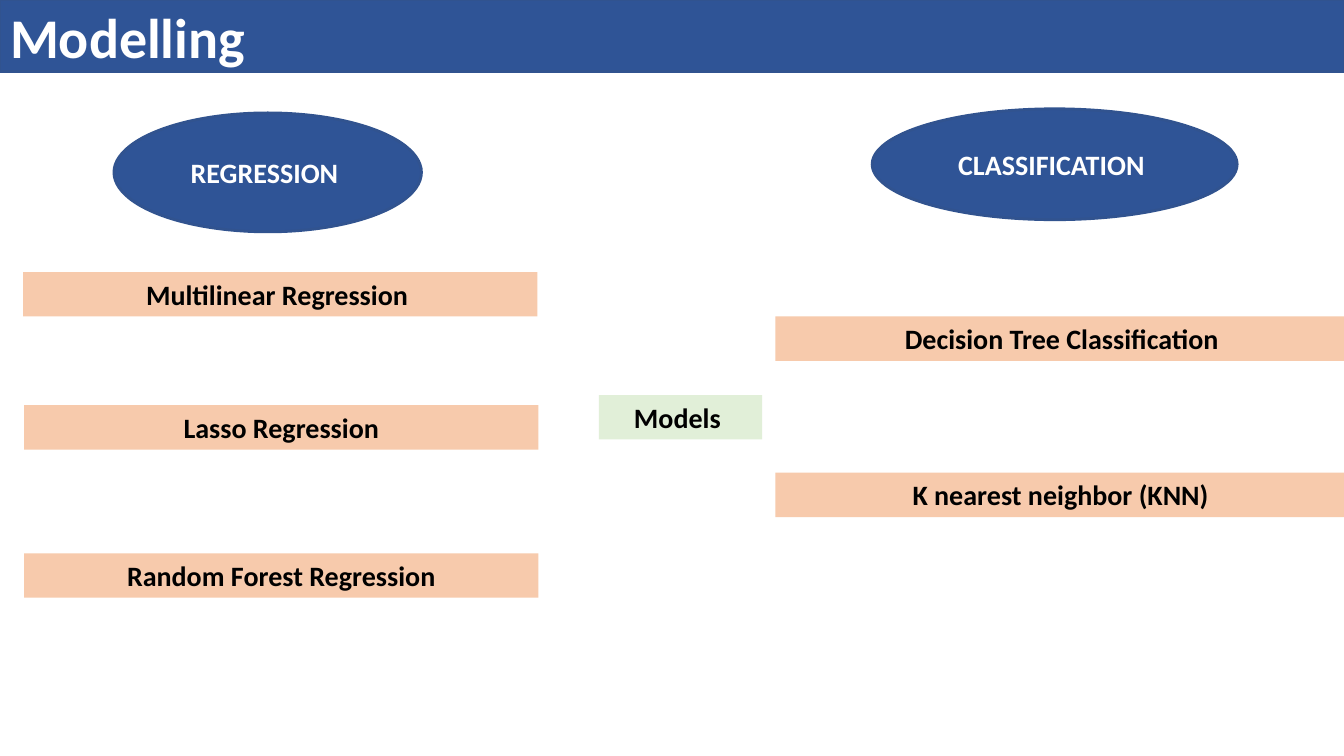
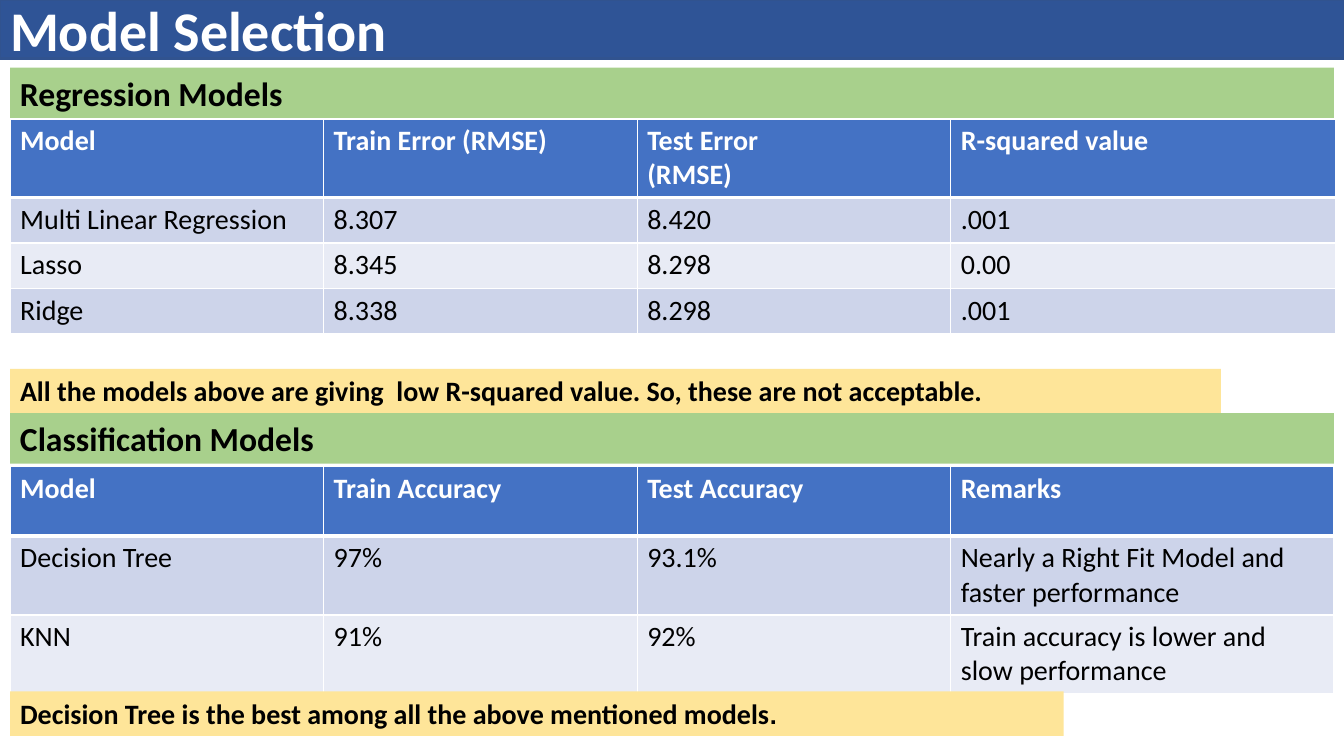
import dataclasses
import lxml.etree
import pptx
import pptx.dml.color
import pptx.enum.shapes
import pptx.enum.text
import pptx.oxml.ns
import pptx.shapes.base
import pptx.slide
import pptx.table
import pptx.text.text
import pptx.util

SCALE = 9144
NAVY, EDGE, BLUE = "2F5496", "31538F", "4472C4"
PEACH, MINT, GREEN, YELLOW = "F7CAAC", "E1EFD8", "A8D08C", "FEE599"
BANDS = ("E8EBF5", "CDD4EA")
WHITE, BLACK = "FFFFFF", "000000"
LEFT = pptx.enum.text.PP_ALIGN.LEFT
CENTER = pptx.enum.text.PP_ALIGN.CENTER
MIDDLE = pptx.enum.text.MSO_ANCHOR.MIDDLE
FIT = pptx.enum.text.MSO_AUTO_SIZE


@dataclasses.dataclass(frozen=True)
class Label:
    text: str
    left: int
    top: int
    width: int
    height: int
    fill: str
    size: int = 20
    align: pptx.enum.text.PP_ALIGN = LEFT
    tail: str = ""


@dataclasses.dataclass(frozen=True)
class Grid:
    top: int
    cols: tuple[int, ...]
    rows: tuple[int, ...]
    cells: tuple[tuple[str, ...], ...]


def px(count: int) -> pptx.util.Emu:
    return pptx.util.Emu(count * SCALE)


def color(code: str) -> pptx.dml.color.RGBColor:
    return pptx.dml.color.RGBColor.from_string(code)


def style(item: object, **values: object) -> None:
    for name, value in values.items():
        setattr(item, name, value)


def ink(font: pptx.text.text.Font, size: int, code: str,
        bold: bool = True, name: str = "Calibri") -> None:
    style(font, size=pptx.util.Pt(size), bold=bold, name=name)
    font.color.rgb = color(code)


def paint(shape: pptx.shapes.base.BaseShape, fill: str) -> None:
    shape.fill.solid()
    shape.fill.fore_color.rgb = color(fill)


def trim(shape: pptx.shapes.base.BaseShape) -> None:
    paint(shape, NAVY)
    shape.line.color.rgb = color(EDGE)
    shape.line.width = pptx.util.Pt(2)


def start(deck: pptx.presentation.Presentation, text: str,
          height: int) -> pptx.slide.Slide:
    slide = deck.slides.add_slide(deck.slide_layouts[5])
    title = slide.shapes.title
    style(title, left=0, top=0, width=deck.slide_width, height=px(height))
    trim(title)
    frame = title.text_frame
    style(frame, text=text, word_wrap=True, auto_size=FIT.NONE,
          vertical_anchor=MIDDLE)
    frame.paragraphs[0].alignment = LEFT
    ink(frame.paragraphs[0].runs[0].font, 40, WHITE)
    return slide


def oval(slide: pptx.slide.Slide, label: Label) -> None:
    shape = slide.shapes.add_shape(
        pptx.enum.shapes.MSO_SHAPE.OVAL, px(label.left), px(label.top),
        px(label.width), px(label.height))
    shape.shadow.inherit = False
    trim(shape)
    frame = shape.text_frame
    style(frame, text=label.text, word_wrap=True, vertical_anchor=MIDDLE)
    frame.paragraphs[0].alignment = label.align
    ink(frame.paragraphs[0].runs[0].font, label.size, WHITE)


def strip(slide: pptx.slide.Slide, label: Label) -> None:
    shape = slide.shapes.add_textbox(
        px(label.left), px(label.top), px(label.width), px(label.height))
    paint(shape, label.fill)
    frame = shape.text_frame
    style(frame, text=label.text, word_wrap=True,
          auto_size=FIT.SHAPE_TO_FIT_TEXT)
    para = frame.paragraphs[0]
    para.alignment = label.align
    ink(para.runs[0].font, label.size, BLACK)
    if label.tail:
        run = para.add_run()
        run.text = label.tail
        ink(run.font, 18, BLACK, name="Arial")


def rule(cell: pptx.table._Cell, row: int) -> None:
    props = cell._tc.get_or_add_tcPr()
    sides = {"L": 1, "R": 1, "T": 3 if row == 1 else 1,
             "B": 3 if row == 0 else 1}
    for spot, (side, width) in enumerate(sides.items()):
        line = lxml.etree.Element(pptx.oxml.ns.qn(f"a:ln{side}"),
                                  w=str(pptx.util.Pt(width)))
        fill = lxml.etree.SubElement(line, pptx.oxml.ns.qn("a:solidFill"))
        lxml.etree.SubElement(fill, pptx.oxml.ns.qn("a:srgbClr"), val=WHITE)
        props.insert(spot, line)


def chart(slide: pptx.slide.Slide, grid: Grid) -> None:
    table = slide.shapes.add_table(
        len(grid.rows), len(grid.cols), px(10), px(grid.top),
        px(sum(grid.cols)), px(sum(grid.rows))).table
    for col, width in zip(table.columns, grid.cols):
        col.width = px(width)
    for row, height in zip(table.rows, grid.rows):
        row.height = px(height)
    for row, texts in enumerate(grid.cells):
        head = row == 0
        for col, text in enumerate(texts):
            cell = table.cell(row, col)
            cell.text = text
            paint(cell, BLUE if head else BANDS[row % 2])
            rule(cell, row)
            for para in cell.text_frame.paragraphs:
                ink(para.runs[0].font, 20, WHITE if head else BLACK, head)


OVALS = (
    Label("REGRESSION ", 113, 112, 305, 118, NAVY, align=CENTER),
    Label("CLASSIFICATION ", 865, 108, 362, 110, NAVY, align=CENTER),
)
MODELS = (
    Label("Models ", 594, 392, 162, 44, MINT, align=CENTER),
    *(Label(text, left, top, width, 44, PEACH, align=CENTER)
      for text, left, top, width in (
          ("Multilinear Regression ", 23, 270, 510),
          ("Lasso Regression", 24, 402, 510),
          ("Random Forest Regression", 24, 549, 510),
          ("Decision Tree Classification", 769, 314, 568),
          ("K nearest neighbor (KNN)", 769, 469, 566))),
)
GRIDS = (
    Grid(118, (311, 311, 311, 382), (77, 45, 45, 45), (
        ("Model", "Train Error (RMSE)", "Test Error\n(RMSE)",
         "R-squared value"),
        ("Multi Linear Regression", "8.307", "8.420", ".001"),
        ("Lasso", "8.345", "8.298", "0.00"),
        ("Ridge", "8.338", "8.298", ".001"))),
    Grid(463, (311, 311, 311, 380), (69, 69, 69), (
        ("Model", "Train Accuracy", "Test Accuracy", "Remarks"),
        ("Decision Tree", "97%", "93.1%",
         "Nearly a Right Fit Model and faster performance"),
        ("KNN", "91%", "92%",
         "Train accuracy is lower and slow performance"))),
)
NOTES = (
    Label("All the models above are giving  low R-squared value. "
          "So, these are not acceptable.", 10, 366, 1201, 44, YELLOW),
    Label("Decision Tree is the best among all the above mentioned models",
          10, 686, 1045, 44, YELLOW, tail="."),
    Label("Regression Models", 10, 67, 1313, 50, GREEN, 24),
    Label("Classification Models", 10, 410, 1313, 50, GREEN, 24),
)


def main() -> None:
    deck = pptx.Presentation()
    style(deck, slide_width=px(1333), slide_height=px(750))
    slide = start(deck, "Modelling", 71)
    for label in OVALS:
        oval(slide, label)
    for label in MODELS:
        strip(slide, label)
    slide = start(deck, "Model Selection", 58)
    for grid in GRIDS:
        chart(slide, grid)
    for label in NOTES:
        strip(slide, label)
    deck.save("out.pptx")


if __name__ == "__main__":
    main()
